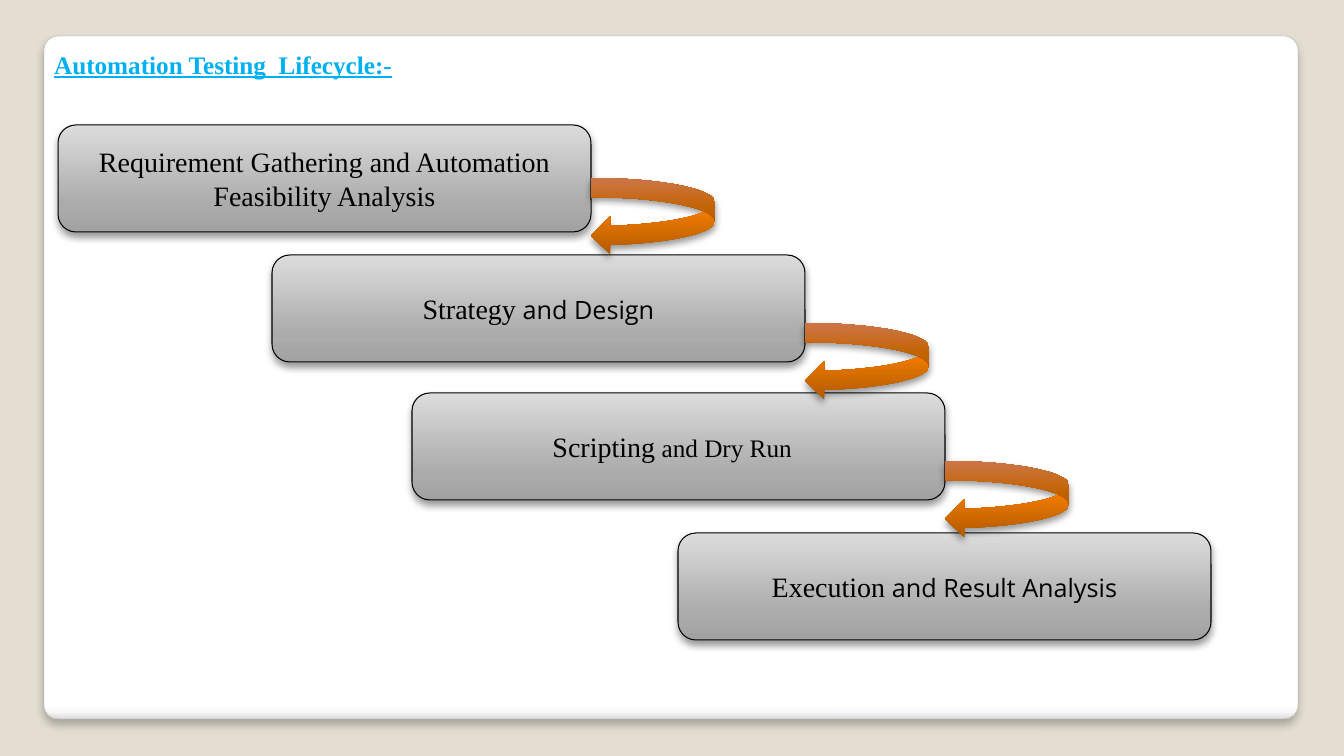
import pptx
import pptx.dml.color
import pptx.enum.shapes
import pptx.enum.text
import pptx.oxml
import pptx.oxml.ns
import pptx.util

PX = 12192000 / 1344
SERIF = "Times New Roman"
SANS = "Open Sans"
GREY = [(0, "A2A2A2"), (25, "ABABAB"), (100, "DCDCDC")]
ORANGE = [(0, "B05A00"), (60, "F47C00"), (100, "FF945C")]
WHITE = [(0, "FFFFFF"), (98, "FFFFFF"), (99, "F7F7F7"), (100, "DADADA")]
BOX_SHADOW = (40, 5.2, 3)
PANEL_SHADOW = (25, 6, 4)

colour = pptx.dml.color.RGBColor.from_string
MSO_SHAPE = pptx.enum.shapes.MSO_SHAPE
PP_ALIGN = pptx.enum.text.PP_ALIGN
MSO_ANCHOR = pptx.enum.text.MSO_ANCHOR


def add_graded_shape(kind, bounds, stops, angle, shadow):
    """Add a shape with a gradient (angle counter-clockwise) and a shadow below it."""
    shape = slide.shapes.add_shape(kind, *[round(length * PX) for length in bounds])
    shape.fill.gradient()
    shape.fill.gradient_angle = angle
    shape.line.fill.background()
    shape.shadow.inherit = False
    namespace = pptx.oxml.ns.nsdecls("a")
    properties = shape._element.spPr
    stop_list = properties.find(".//" + pptx.oxml.ns.qn("a:gsLst"))
    stop_list.clear()
    for position, hex_colour in stops:
        stop_list.append(pptx.oxml.parse_xml(
            f'<a:gs {namespace} pos="{position * 1000}"><a:srgbClr val="{hex_colour}"/></a:gs>'))
    opacity, blur, distance = shadow
    properties.find(pptx.oxml.ns.qn("a:effectLst")).append(pptx.oxml.parse_xml(
        f'<a:outerShdw {namespace} blurRad="{pptx.util.Pt(blur)}" dist="{pptx.util.Pt(distance)}"'
        f' dir="5400000" rotWithShape="0"><a:srgbClr val="000000">'
        f'<a:alpha val="{opacity * 1000}"/></a:srgbClr></a:outerShdw>'))
    return shape


def add_run(paragraph, text, size, font_name, hex_colour):
    run = paragraph.add_run()
    run.text = text
    run.font.size = pptx.util.Pt(size)
    run.font.name = font_name
    run.font.color.rgb = colour(hex_colour)
    return run


presentation = pptx.Presentation()
presentation.slide_width = round(1344 * PX)
presentation.slide_height = round(756 * PX)
slide = presentation.slides.add_slide(presentation.slide_layouts[5])
slide.background.fill.solid()
slide.background.fill.fore_color.rgb = colour("E3DED1")

# White panel, behind everything else
panel = add_graded_shape(MSO_SHAPE.ROUNDED_RECTANGLE, (44, 36, 1254, 683), WHITE, 270, PANEL_SHADOW)
panel.adjustments[0] = 0.021
panel.line.color.rgb = colour("A4A4A4")
panel.line.width = pptx.util.Pt(0.16)
slide.shapes._spTree.insert(2, panel._element)

# Title
title = slide.shapes.title
title.left, title.top, title.width, title.height = [round(length * PX) for length in (44, 44, 426, 40)]
title.text_frame.word_wrap = True
title.text_frame.auto_size = pptx.enum.text.MSO_AUTO_SIZE.NONE
title.text_frame.vertical_anchor = MSO_ANCHOR.MIDDLE
title_paragraph = title.text_frame.paragraphs[0]
title_paragraph.alignment = PP_ALIGN.LEFT
title_run = add_run(title_paragraph, "Automation Testing  Lifecycle:-", 18, SERIF, "00B0F0")
title_run.font.bold = True
title_run.font.underline = True

# Lifecycle stages, stepping down to the right
stages = [
    (58, 125, [("Requirement Gathering and Automation Feasibility Analysis", 20, SERIF)]),
    (272, 255, [("Strategy", 20, SERIF), (" and Design", 18, SANS)]),
    (412, 393, [("Scripting", 20, SERIF), (" and Dry Run\t", 18, SERIF)]),
    (678, 533, [("Execution", 20, SERIF), (" and Result Analysis", 18, SANS)]),
]
STAGE_WIDTH, STAGE_HEIGHT = 533, 107
for left, top, runs in stages:
    stage = add_graded_shape(MSO_SHAPE.ROUNDED_RECTANGLE, (left, top, STAGE_WIDTH, STAGE_HEIGHT),
                             GREY, 90, BOX_SHADOW)
    stage.line.color.rgb = colour("000000")
    stage.line.width = pptx.util.Pt(0.75)
    stage.text_frame.word_wrap = True
    stage.text_frame.vertical_anchor = MSO_ANCHOR.MIDDLE
    paragraph = stage.text_frame.paragraphs[0]
    paragraph.alignment = PP_ALIGN.CENTER
    for text, size, font_name in runs:
        add_run(paragraph, text, size, font_name, "000000")

# Arrows from the right edge of each stage to the next one
for (left, _, _), arrow_top in zip(stages, (178, 323, 461)):
    add_graded_shape(MSO_SHAPE.CURVED_LEFT_ARROW, (left + STAGE_WIDTH, arrow_top, 124, 77),
                     ORANGE, 90, BOX_SHADOW)

presentation.save("out.pptx")
